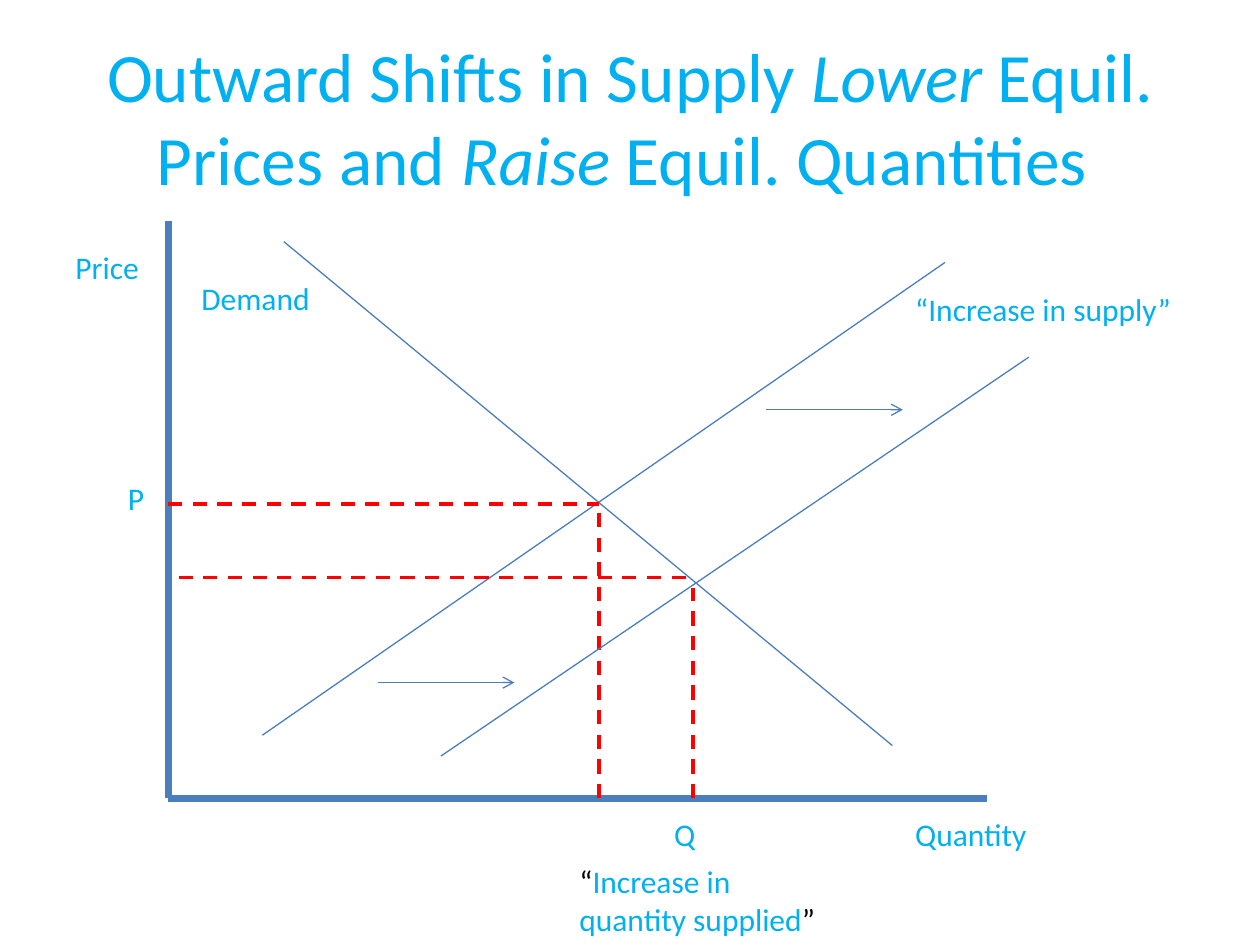
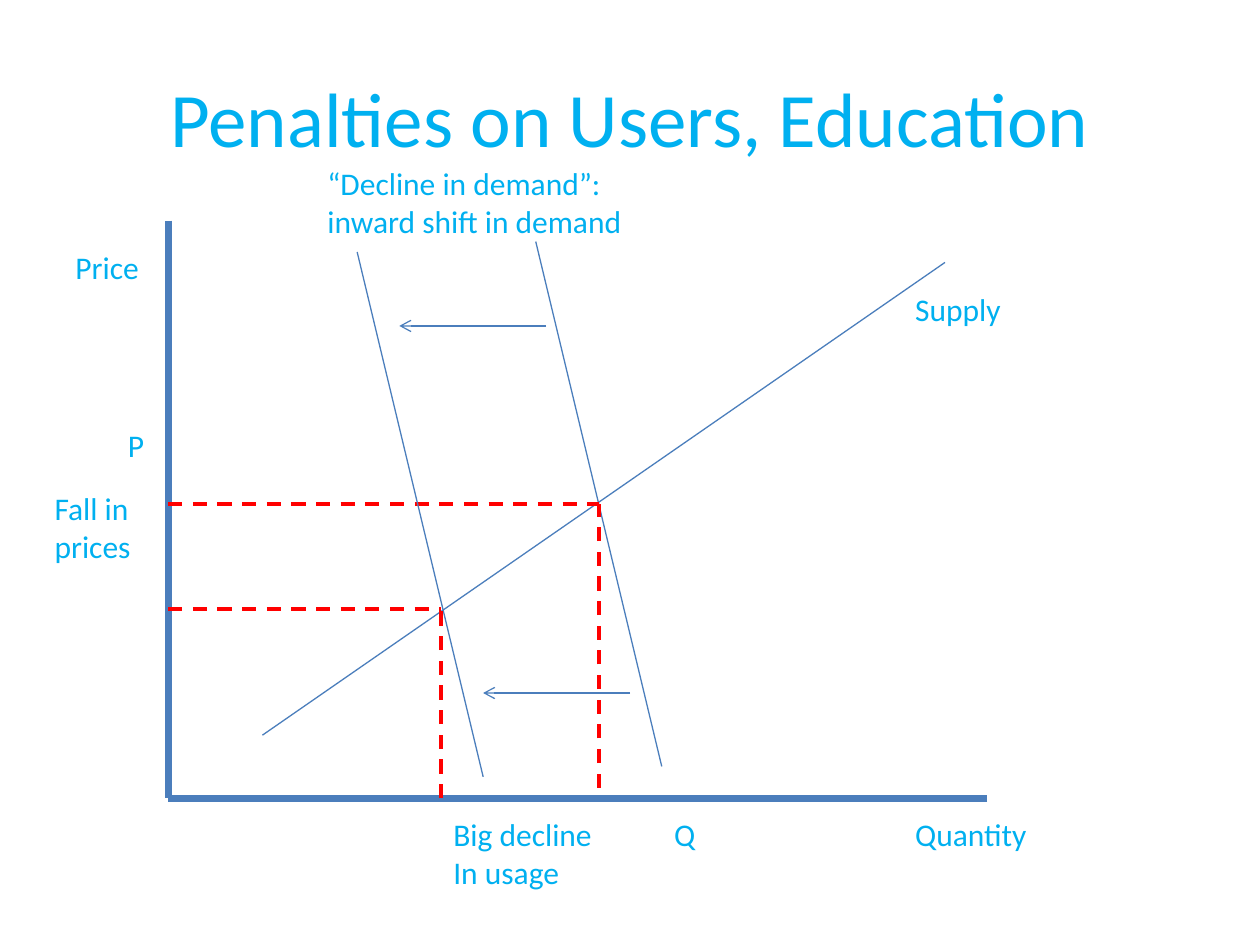
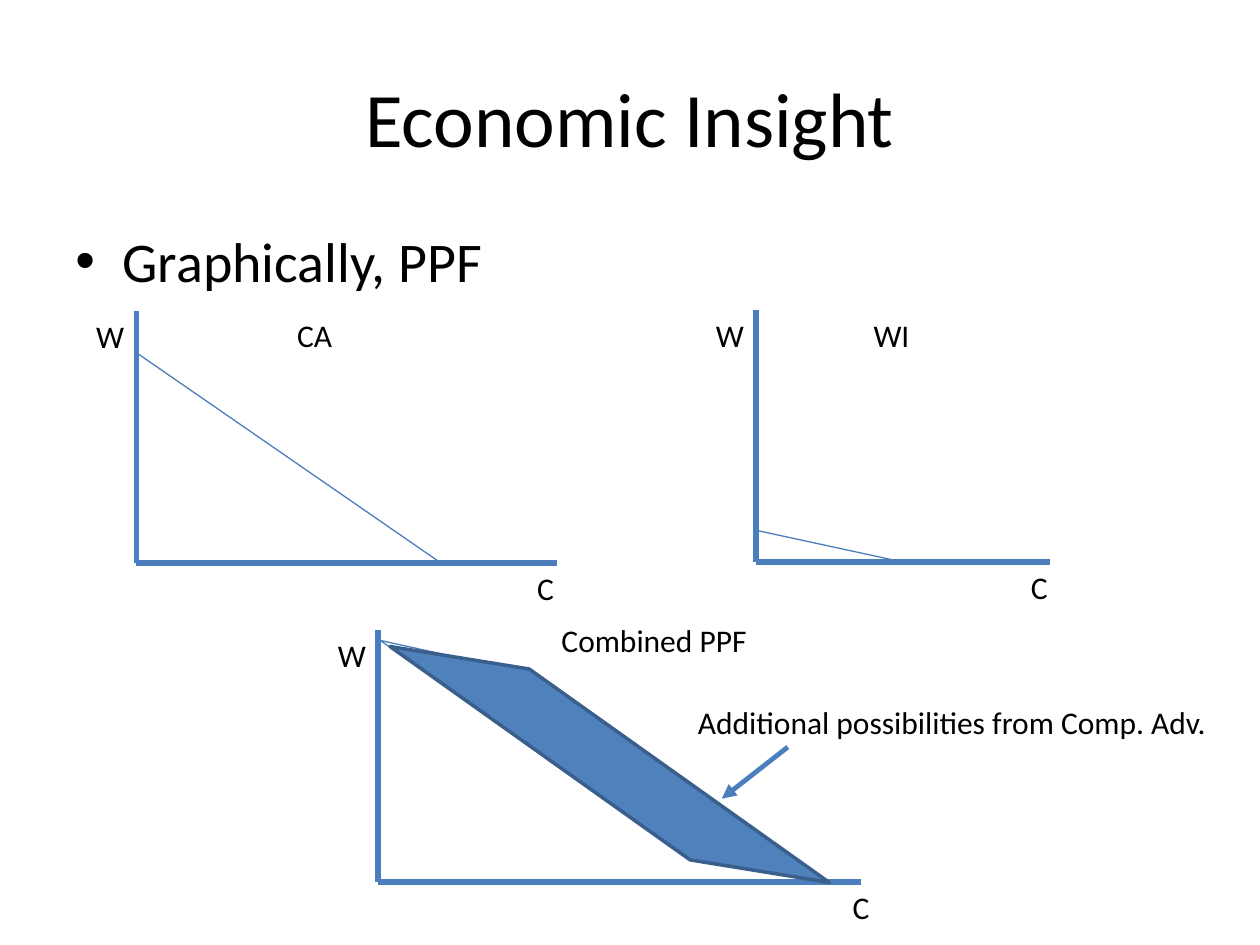
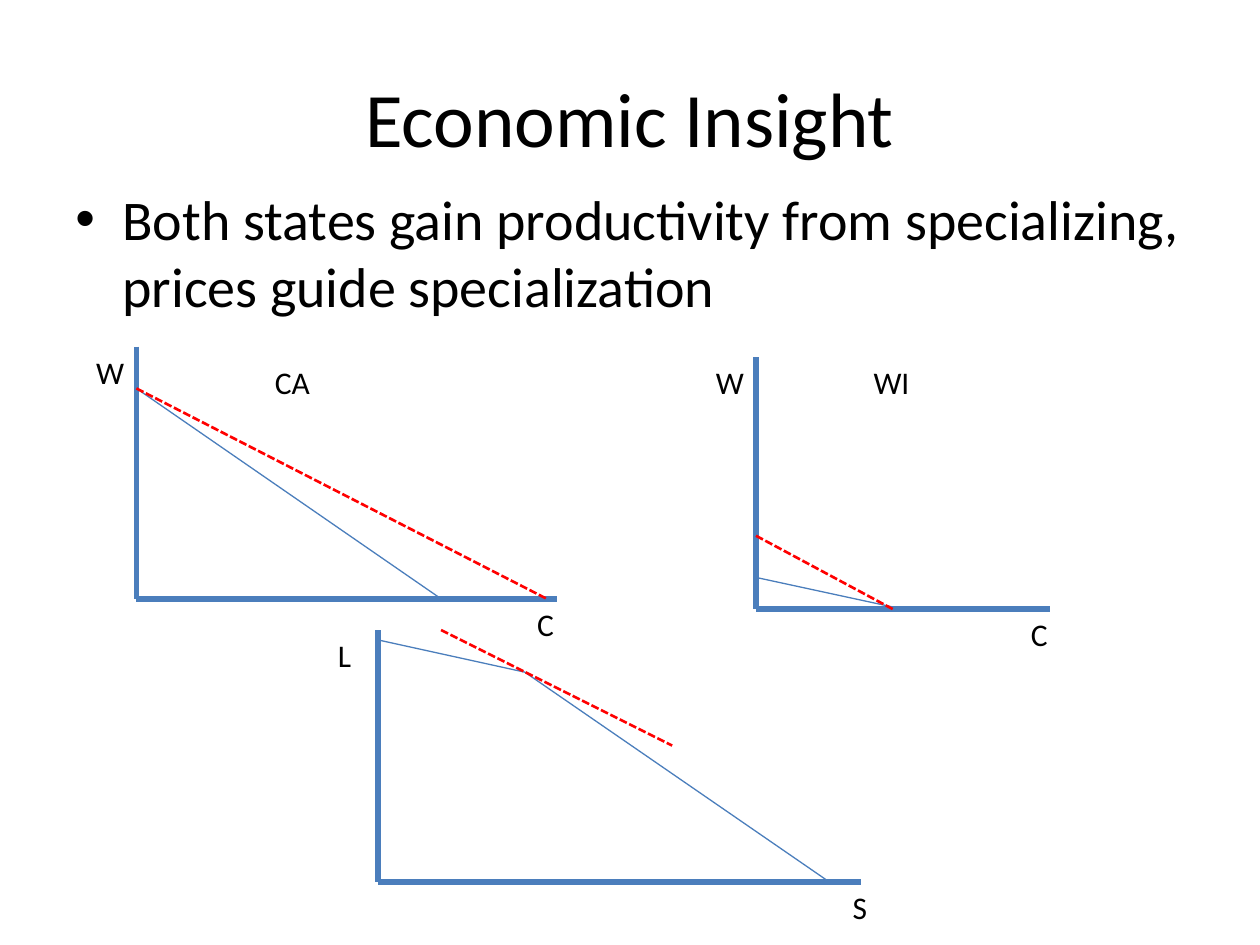
"""Build four slides of supply, demand and production-possibility diagrams."""
from lxml import etree
from pptx import Presentation
from pptx.dml.color import RGBColor
from pptx.enum.dml import MSO_LINE
from pptx.enum.shapes import MSO_CONNECTOR, MSO_SHAPE
from pptx.enum.text import MSO_ANCHOR, MSO_AUTO_SIZE, PP_ALIGN
from pptx.oxml.ns import qn
from pptx.util import Cm, Pt

COLORS = {"sky": "00B0F0", "black": "000000", "axis": "4B7EBC", "red": "FF0000",
          "fill": "4F81BD", "edge": "3A5F8C"}
FONT = "Calibri"
DASH, SYS_DASH = MSO_LINE.DASH, MSO_LINE.SQUARE_DOT
STRAIGHT, PARALLELOGRAM = MSO_CONNECTOR.STRAIGHT, MSO_SHAPE.PARALLELOGRAM
LEFT, CENTER = PP_ALIGN.LEFT, PP_ALIGN.CENTER
TOP, MIDDLE = MSO_ANCHOR.TOP, MSO_ANCHOR.MIDDLE
FIT, FIXED = MSO_AUTO_SIZE.SHAPE_TO_FIT_TEXT, MSO_AUTO_SIZE.NONE

MARGIN, CONTENT_W = 1.27, 22.86
AXIS_X, AXIS_TOP, AXIS_RIGHT, AXIS_Y = 3.39, 4.45, 19.9, 16.09
BELOW_AXIS = 16.3
EQUILIBRIUM = (12.07, 10.16)
SUPPLY = (5.29, 14.82, 19.05, 5.29)
PANEL_H = 5.08
CA_X, WI_X, COMBINED_X, COMBINED_TOP = 2.75, 15.24, 7.62, 12.7
KINK, COMBINED_END = (10.58, 13.55), (16.72, 17.78)


def rgb(name):
    """Return a palette colour."""
    return RGBColor.from_string(COLORS[name])


def add_text(s, box, paragraphs, size=18, color="black", align=LEFT, anchor=TOP,
             wrap=False, bullet=False):
    """Add text whose paragraphs are strings or lists of (text, color, italic) runs."""
    shape = s.shapes.add_textbox(*(Cm(v) for v in box))
    tf = shape.text_frame
    tf.word_wrap = wrap
    tf.auto_size = FIXED if wrap else FIT
    tf.vertical_anchor = anchor
    for i, runs in enumerate(paragraphs):
        p = tf.add_paragraph() if i else tf.paragraphs[0]
        p.alignment = align
        if bullet:
            add_bullet(p, size)
        for words, run_color, italic in [(runs, color, False)] if isinstance(runs, str) else runs:
            r = p.add_run()
            r.text = words
            r.font.name, r.font.size = FONT, Pt(size)
            r.font.italic = italic
            r.font.color.rgb = rgb(run_color)


def add_bullet(p, size):
    """Give a paragraph a hanging bullet and a fifth of a line before it."""
    p.space_before = Pt(size * 0.2)
    pPr = p._p.get_or_add_pPr()
    pPr.set("marL", str(Cm(0.95)))
    pPr.set("indent", str(-Cm(0.95)))
    etree.SubElement(pPr, qn("a:buFont")).set("typeface", "Arial")
    etree.SubElement(pPr, qn("a:buChar")).set("char", "•")


def add_title(s, runs, size=44, color="black"):
    """Add the centred slide title."""
    add_text(s, (MARGIN, 0.76, CONTENT_W, 3.18), [runs], size=size, color=color,
             align=CENTER, anchor=MIDDLE, wrap=True)


def add_body(s, top, text):
    """Add the bulleted body, which ends at the same height on each slide."""
    add_text(s, (MARGIN, top, CONTENT_W, 17.02 - top), [text], size=32, wrap=True, bullet=True)


def add_label(s, x, y, w, *paragraphs, color="black"):
    """Add a small unwrapped label."""
    add_text(s, (x, y, w, 0.26 + 0.77 * len(paragraphs)), paragraphs, color=color)


def add_line(s, x1, y1, x2, y2, color="axis", width=0.75, dash=None, head=None):
    """Add a straight line, with an arrowhead at its end if one is named."""
    line = s.shapes.add_connector(STRAIGHT, Cm(x1), Cm(y1), Cm(x2), Cm(y2))
    line.line.color.rgb = rgb(color)
    line.line.width = Pt(width)
    if dash:
        line.line.dash_style = dash
    if head:
        etree.SubElement(line.line._get_or_add_ln(), qn("a:tailEnd")).set("type", head)
    etree.SubElement(line.element.spPr, qn("a:effectLst"))


def add_guides(s, x, y, left=AXIS_X, top=None, bottom=AXIS_Y):
    """Add dashed guides from an equilibrium to both axes."""
    for ends in ((left, y, x, y), (x, bottom, x, top or y)):
        add_line(s, *ends, color="red", width=2, dash=DASH)


def add_market(s, price_y, supply_label, supply_w):
    """Add the axes, the supply curve and the labels of a market diagram."""
    add_line(s, AXIS_X, AXIS_TOP, AXIS_X, AXIS_Y, width=4)
    add_line(s, AXIS_RIGHT, AXIS_Y, AXIS_X, AXIS_Y, width=4)
    add_line(s, *SUPPLY)
    for x, y, w, text in ((MARGIN, 4.87, 1.8, "Price"), (18.2, BELOW_AXIS, 2.79, "Quantity"),
                          (18.2, 5.72, supply_w, supply_label), (2.33, price_y, 0.84, "P"),
                          (13.34, BELOW_AXIS, 0.94, "Q")):
        add_label(s, x, y, w, text, color="sky")


def add_panel(s, x, top, width, names="WC", inset=0.64):
    """Add a pair of axes with a letter at the end of each."""
    base = top + PANEL_H
    add_line(s, x, top, x, base, width=3.25)
    add_line(s, x, base, x + width, base, width=3.25)
    add_label(s, x - 1.06, top, 1.09, names[0])
    add_label(s, x + width - inset, base, 0.86, names[1])


def add_states(s, ca_top, wi_top, ca_label_x, label_y):
    """Add the diagrams of the two states, each with its frontier."""
    for x, top, width, rise, run in ((CA_X, ca_top, 8.47, 4.24, 6.14),
                                     (WI_X, wi_top, 5.93, 0.64, 2.96)):
        add_panel(s, x, top, width)
        base = top + PANEL_H
        add_line(s, x, base - rise, x + run, base)
    add_label(s, ca_label_x, label_y, 1.22, "CA")
    add_label(s, 17.36, label_y, 1.24, "WI")


def add_combined(s, names):
    """Add the combined diagram with its kinked frontier."""
    add_panel(s, COMBINED_X, COMBINED_TOP, 9.74, names, inset=0.42)
    add_line(s, *KINK, *COMBINED_END)
    add_line(s, COMBINED_X, 12.9, *KINK)


def add_gain_area(s):
    """Add the tilted parallelogram between the two frontiers."""
    shape = s.shapes.add_shape(PARALLELOGRAM, Cm(7.54), Cm(13.77), Cm(9.5), Cm(3.28))
    shape.adjustments[0] = 2.03
    shape.rotation = 9.2
    shape.element.spPr.find(qn("a:xfrm")).set("flipH", "1")
    shape.shadow.inherit = False
    shape.fill.solid()
    shape.fill.fore_color.rgb = rgb("fill")
    shape.line.color.rgb = rgb("edge")
    shape.line.width = Pt(2)


def supply_slide(s):
    """Show an outward shift in supply."""
    add_title(s, [("Outward Shifts in Supply ", "sky", False), ("Lower ", "sky", True),
                  ("Equil. Prices and ", "sky", False), ("Raise ", "sky", True),
                  ("Equil. Quantities ", "sky", False)], size=39.6)
    add_market(s, 9.53, "“Increase in supply”", 5.72)
    add_line(s, 5.72, 4.87, 17.99, 15.03)
    add_label(s, 3.81, 5.5, 2.72, "Demand", color="sky")
    add_guides(s, *EQUILIBRIUM)
    add_line(s, 20.74, 7.2, 8.89, 15.24)
    add_guides(s, 13.97, 11.64, left=3.6, top=11.85)
    for x, y in ((7.62, 13.76), (15.45, 8.26)):
        add_line(s, x, y, x + 2.75, y, head="arrow")
    add_label(s, 11.43, 17.25, 5.33,
              [("“", "black", False), ("Increase in ", "sky", False)],
              [("quantity supplied", "sky", False), ("”", "black", False)])


def demand_slide(s):
    """Show an inward shift in demand."""
    add_title(s, "Penalties on Users, Education", color="sky")
    add_market(s, 8.47, "Supply", 2.26)
    add_line(s, 10.8, 4.87, 13.34, 15.45)
    add_guides(s, *EQUILIBRIUM, bottom=15.88)
    add_line(s, 7.2, 5.08, 9.74, 15.66)
    add_guides(s, 8.89, 12.28)
    for x, y in ((11.01, 6.57), (12.7, 13.97)):
        add_line(s, x, y, x - 2.96, y, head="arrow")
    for x, y, w, *lines in ((6.35, 3.18, 6.53, "“Decline in demand”:", "inward shift in demand"),
                            (8.89, BELOW_AXIS, 3.35, "Big decline", "In usage"),
                            (0.85, 9.74, 2.06, "Fall in", "prices")):
        add_label(s, x, y, w, *lines, color="sky")


def frontier_slide(s):
    """Show the frontiers of both states and the combined gain."""
    add_title(s, "Economic Insight")
    add_body(s, 4.45, "Graphically, PPF")
    add_states(s, 6.27, 6.25, 5.74, 6.25)
    add_combined(s, "WC")
    add_line(s, 7.65, 12.9, 13.78, 17.15)
    add_line(s, 13.78, 17.15, *COMBINED_END)
    add_gain_area(s)
    add_label(s, 11.07, 12.4, 4.29, "Combined PPF")
    add_label(s, 13.82, 14.05, 10.87, "Additional possibilities from Comp. Adv.")
    add_line(s, 15.88, 15.06, 14.55, 16.1, width=2.75, head="triangle")


def specialization_slide(s):
    """Show the price lines that guide specialization."""
    add_title(s, "Economic Insight")
    add_body(s, 3.6, "Both states gain productivity from specializing, "
                     "prices guide specialization")
    add_states(s, 6.99, 7.2, 5.29, 7.2)
    add_combined(s, "LS")
    for ends in ((CA_X, 7.83, 11.02, 12.07), (WI_X, 10.8, 18, 12.28), (8.89, 12.7, 13.55, 15.03)):
        add_line(s, *ends, color="red", width=1.5, dash=SYS_DASH)


def main():
    """Build and save the presentation."""
    prs = Presentation()
    prs.slide_width, prs.slide_height = Cm(25.4), Cm(19.05)
    for build in (supply_slide, demand_slide, frontier_slide, specialization_slide):
        build(prs.slides.add_slide(prs.slide_layouts[6]))
    prs.save("out.pptx")


main()
